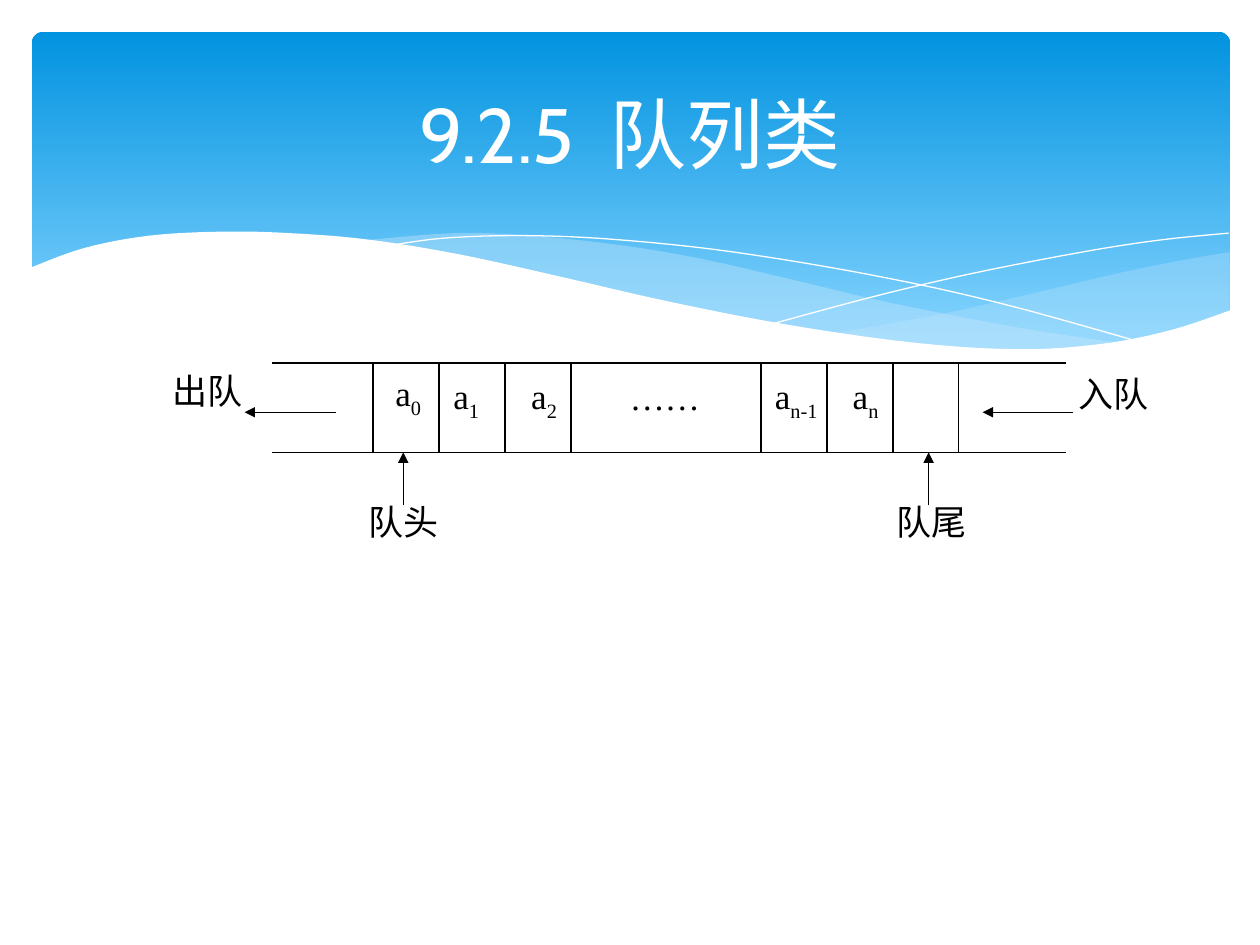
import pptx
import pptx.dml.color
import pptx.enum.dml
import pptx.enum.shapes
import pptx.enum.text
import pptx.oxml
import pptx.oxml.ns
import pptx.util

Cm, Pt = pptx.util.Cm, pptx.util.Pt
RGB = pptx.dml.color.RGBColor.from_string
ALIGN = pptx.enum.text.PP_ALIGN
ANCHOR = pptx.enum.text.MSO_ANCHOR
NS = pptx.oxml.ns.nsdecls("a")
COLORS = {"sky": "0293E0", "light": "83D3FE", "wave": "C6E7FC",
          "white": "FFFFFF", "ink": "000000"}
TITLE = {"name": "Cabin", "size": Pt(44)}
BODY = {"name": "Times New Roman", "size": Pt(20)}
SUB = {"baseline": "-25000"}
WIDE = {"spc": "1000"}


def smooth(knots, steps=6):
    """Points of a Catmull-Rom curve through the knots."""
    ends = [knots[0]] + knots + [knots[-1]]
    points = [knots[0]]
    for a, b, c, d in zip(ends, ends[1:], ends[2:], ends[3:]):
        for t in (n / steps for n in range(1, steps + 1)):
            points.append(tuple(
                (2 * q + (r - p) * t + (2 * p - 5 * q + 4 * r - s) * t ** 2
                 + (3 * q - p - 3 * r + s) * t ** 3) / 2
                for p, q, r, s in zip(a, b, c, d)))
    return points


def add_text(box, runs, font=BODY, color="ink", align=ALIGN.CENTER, tab=None, **frame):
    """Text box from (text, run attributes) pairs; frame holds text frame settings."""
    tf = s.shapes.add_textbox(*map(Cm, box)).text_frame
    for key, value in {"word_wrap": True, **frame}.items():
        setattr(tf, key, value)
    p = tf.paragraphs[0]
    p.alignment = align
    if tab:
        p._p.get_or_add_pPr().append(pptx.oxml.parse_xml(
            f'<a:tabLst {NS}><a:tab pos="{Cm(tab)}" algn="l"/></a:tabLst>'))
    for text, attributes in runs:
        r = p.add_run()
        r.text = text
        for key, value in font.items():
            setattr(r.font, key, value)
        r.font.color.rgb = RGB(COLORS[color])
        for key, value in attributes.items():
            r._r.get_or_add_rPr().set(key, value)


prs = pptx.Presentation()
prs.slide_width, prs.slide_height = Cm(25.4), Cm(19.05)
s = prs.slides.add_slide(prs.slide_layouts[6])

# Banner
sp = s.shapes.add_shape(pptx.enum.shapes.MSO_SHAPE.ROUNDED_RECTANGLE,
                        Cm(0.64), Cm(0.64), Cm(24.16), Cm(6.86))
sp.adjustments[0] = 0.034
sp.shadow.inherit = False
sp.line.fill.background()
sp.fill.gradient()
sp.fill.gradient_angle = 270
for stop, position, color in zip(sp.fill.gradient_stops, (0, 0.9), ("sky", "light")):
    stop.position = position
    stop.color.rgb = RGB(COLORS[color])

# Waves: edges in cm, fill colour (None for a line), opacity in percent
waves = [
    ([[(24.79, 5.08), (23.75, 5.26), (22.63, 5.49), (21.13, 5.84), (19.13, 6.3), (16.79, 6.73)],
      [(16.79, 6.73), (17.91, 6.88), (19.23, 7.01), (20.68, 7.06), (22.15, 6.96),
       (23.57, 6.68), (24.79, 6.27)]], "wave", 29),
    ([[(22.68, 6.93), (20.5, 6.6), (17.93, 6.1), (15.98, 5.64), (14.1, 5.21),
       (12.42, 4.93), (10.67, 4.75), (9.17, 4.7), (7.26, 4.85)],
      [(7.26, 4.85), (9.19, 5.16), (11.4, 5.64), (13.46, 6.1), (15.7, 6.55),
       (17.65, 6.86), (19.33, 7.04), (20.78, 7.06), (22.68, 6.93)]], "wave", 40),
    ([[(7.85, 4.95), (8.97, 4.8), (10.57, 4.75), (12.42, 4.83), (14.78, 5.08),
       (17.65, 5.56), (20.19, 6.12), (23.04, 6.91)]], None, 100),
    ([[(15.57, 6.53), (17.65, 5.97), (19.71, 5.49), (22, 5.05), (23.47, 4.83),
       (24.77, 4.7)]], None, 100),
    ([[(24.82, 6.25), (23.62, 6.65), (22.23, 6.93), (20.55, 7.04), (18.44, 6.91),
       (15.9, 6.55), (13.44, 6.07), (11.35, 5.59), (9.27, 5.13), (7.42, 4.83),
       (5.84, 4.7), (4.5, 4.67), (3.02, 4.75), (1.7, 5), (0.58, 5.41)],
      [(0.58, 8.36), (24.82, 8.36)]], "white", 100),
]
for edges, color, opacity in waves:
    points = [(Cm(x), Cm(y)) for edge in edges for x, y in smooth(edge)]
    builder = s.shapes.build_freeform(*points[0])
    builder.add_line_segments(points[1:], close=color is not None)
    sp = builder.convert_to_shape()
    sp.shadow.inherit = False
    if color is None:
        sp.fill.background()
        sp.line.color.rgb = RGB(COLORS["white"])
        sp.line.width = Pt(0)
        continue
    sp.line.fill.background()
    sp.fill.solid()
    sp.fill.fore_color.rgb = RGB(COLORS[color])
    if opacity < 100:
        rgb = sp._element.spPr.find(".//" + pptx.oxml.ns.qn("a:srgbClr"))
        rgb.append(pptx.oxml.parse_xml(f'<a:alpha {NS} val="{opacity * 1000}"/>'))

add_text((1.27, 0.94, 22.86, 3.48), [("9.2.5", {}), (" ", WIDE), ("队列类", {})],
         TITLE, "white", vertical_anchor=ANCHOR.MIDDLE)

# Queue: two rails, cell walls, then arrows
top, bottom, cell = 7.32, 9.12, 1.33
rails = [(5.49, y, 21.49, y) for y in (top, bottom)]
walls = [(start + i * cell, top, start + i * cell, bottom)
         for start in (7.52, 15.34) for i in range(4)]
arrows = [(8.13, 10.19, 8.13, bottom), (18.72, 10.19, 18.72, bottom),
          (6.78, 8.31, 4.93, 8.31), (21.64, 8.31, 19.81, 8.31)]
for ends in rails + walls + arrows:
    line = s.shapes.add_connector(pptx.enum.shapes.MSO_CONNECTOR.STRAIGHT, *map(Cm, ends))
    line.line.color.rgb = RGB(COLORS["ink"])
    line.line.width = Pt(0.75)
    if ends in arrows:
        line.line._get_or_add_ln().append(
            pptx.oxml.parse_xml(f'<a:tailEnd {NS} type="triangle"/>'))
    line._element.spPr.append(pptx.oxml.parse_xml(f"<a:effectLst {NS}/>"))

# Cell contents; a tab stop sets the second item of a pair
for left, width, first, second in ((8.89, 3.84, "1", "2"), (15.37, 3.89, "n-1", "n")):
    add_text((left, 7.42, width, 1.63), [("a", {}), (first, SUB), ("\ta", {}), (second, SUB)],
             align=ALIGN.LEFT, tab=1.57)
add_text((7.67, 7.49, 1.12, 1.57), [("a", {}), ("0", SUB)],
         margin_left=0, margin_top=0, margin_right=0, margin_bottom=0)

for left, y, label in ((12.12, 7.44, "……"), (6.86, 9.96, "队头"), (17.5, 9.96, "队尾"),
                       (21.16, 7.39, "入队"), (2.9, 7.32, "出队")):
    add_text((left, y, 2.57, 1.63), [(label, {})])

prs.save("out.pptx")
